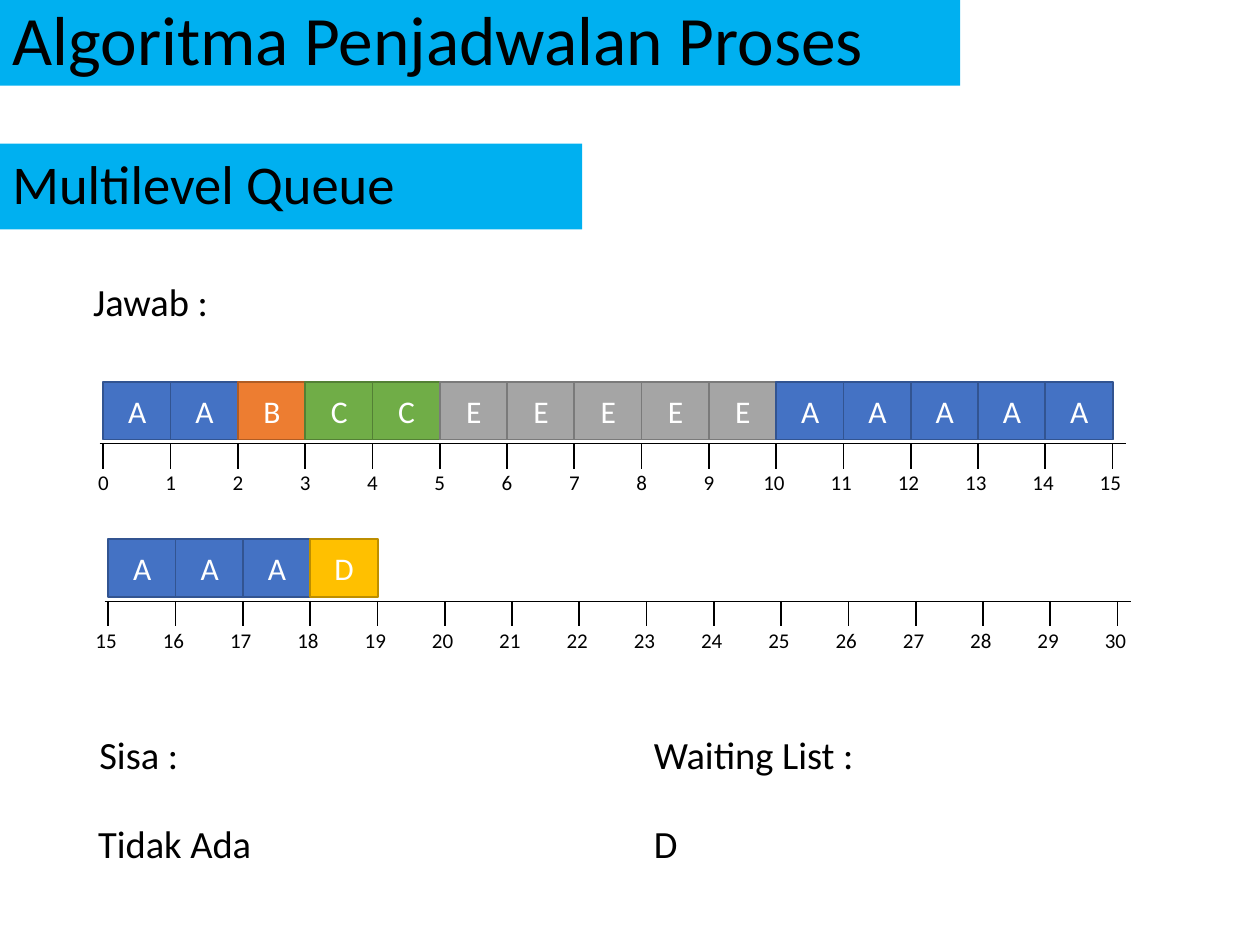
from lxml import etree
from pptx import Presentation
from pptx.dml.color import RGBColor
from pptx.enum.shapes import MSO_CONNECTOR, MSO_SHAPE
from pptx.enum.text import MSO_ANCHOR, MSO_AUTO_SIZE, PP_ALIGN
from pptx.oxml.ns import qn
from pptx.util import Inches, Pt

RECT = MSO_SHAPE.RECTANGLE
STRAIGHT = MSO_CONNECTOR.STRAIGHT
MIDDLE, TOP = MSO_ANCHOR.MIDDLE, MSO_ANCHOR.TOP
LEFT, CENTER, JUSTIFY = PP_ALIGN.LEFT, PP_ALIGN.CENTER, PP_ALIGN.JUSTIFY

FONT = "Calibri"
BLACK, WHITE, BANNER = "000000", "FFFFFF", "00B0F0"
TITLE = "Algoritma Penjadwalan Proses"
SUBTITLE = "Multilevel Queue"
PROCESS_COLORS = {
    "A": ("4472C4", "325491"),
    "B": ("ED7D31", "AF5C24"),
    "C": ("70AD47", "538035"),
    "D": ("FFC000", "BD8E00"),
    "E": ("A5A5A5", "7A7A7A"),
}
TIMELINES = [
    {"start": 0, "left": 0.82, "axis": 3.52, "processes": "AABCCEEEEEAAAAA"},
    {"start": 15, "left": 0.86, "axis": 4.77, "processes": "AAAD"},
]
NOTES = [
    ("Jawab :", 0.64, 2.16, 1.98),
    ("Sisa :", 0.69, 5.75, 1.98),
    ("Waiting List :", 5.09, 5.75, 1.98),
    ("Tidak Ada", 0.68, 6.46, 2.85),
    ("D", 5.09, 6.46, 1.98),
]
SLOTS = 15
STEP = 8.01 / SLOTS
AXIS_LENGTH = 8.15


def rgb(value):
    return RGBColor.from_string(value)


def write(shape, text, size, color=BLACK, align=LEFT, anchor=TOP, spacing=1.0):
    tf = shape.text_frame
    tf.text = text
    tf.word_wrap = True
    tf.auto_size = MSO_AUTO_SIZE.NONE
    tf.vertical_anchor = anchor
    p = tf.paragraphs[0]
    p.alignment = align
    p.line_spacing = spacing
    font = p.runs[0].font
    font.name, font.size = FONT, Pt(size)
    font.color.rgb = rgb(color)


def paint(shape, fill, line=None):
    shape.fill.solid()
    shape.fill.fore_color.rgb = rgb(fill)
    if line:
        shape.line.color.rgb = rgb(line)
        shape.line.width = Pt(1)
    else:
        shape.line.fill.background()


def add_rect(s, left, top, width, height, fill, line=None):
    sp = s.shapes.add_shape(RECT, *map(Inches, (left, top, width, height)))
    sp.shadow.inherit = False
    paint(sp, fill, line)
    return sp


def add_text(s, text, left, top, width, height, size, align=LEFT):
    box = s.shapes.add_textbox(*map(Inches, (left, top, width, height)))
    write(box, text, size, align=align)


def add_line(s, x1, y1, x2, y2, weight):
    line = s.shapes.add_connector(STRAIGHT, *map(Inches, (x1, y1, x2, y2)))
    line.line.color.rgb = rgb(BLACK)
    line.line.width = Pt(weight)
    etree.SubElement(line._element.spPr, qn("a:effectLst"))


def add_timeline(s, start, left, axis, processes):
    add_line(s, left - 0.03, axis, left - 0.03 + AXIS_LENGTH, axis, 0.5)
    for i in range(SLOTS + 1):
        x = left + i * STEP
        label = str(start + i)
        width = 0.33 if len(label) == 1 else 0.4
        offset = 0.14 if len(label) == 1 else 0.2
        add_line(s, x, axis, x, axis + 0.2, 1)
        add_text(s, label, x - offset, axis + 0.16, width, 0.3, 12)
    for i, name in enumerate(processes):
        sp = add_rect(s, left + i * STEP, axis - 0.49, 0.54, 0.46,
                      *PROCESS_COLORS[name])
        write(sp, name, 18, WHITE, CENTER, MIDDLE)


def main():
    prs = Presentation()
    prs.slide_width, prs.slide_height = Inches(10), Inches(7.5)
    s = prs.slides.add_slide(prs.slide_layouts[5])

    title = s.shapes.title
    title.left, title.top = Inches(0), Inches(0)
    title.width, title.height = Inches(7.62), Inches(0.68)
    paint(title, BANNER)
    write(title, TITLE, 39.6, anchor=MIDDLE, spacing=0.9)

    subtitle = add_rect(s, 0, 1.14, 4.62, 0.68, BANNER)
    write(subtitle, SUBTITLE, 31.2, anchor=MIDDLE, spacing=0.9)

    for timeline in TIMELINES:
        add_timeline(s, **timeline)
    for text, left, top, width in NOTES:
        add_text(s, text, left, top, width, 0.47, 22, JUSTIFY)

    prs.save("out.pptx")


if __name__ == "__main__":
    main()
